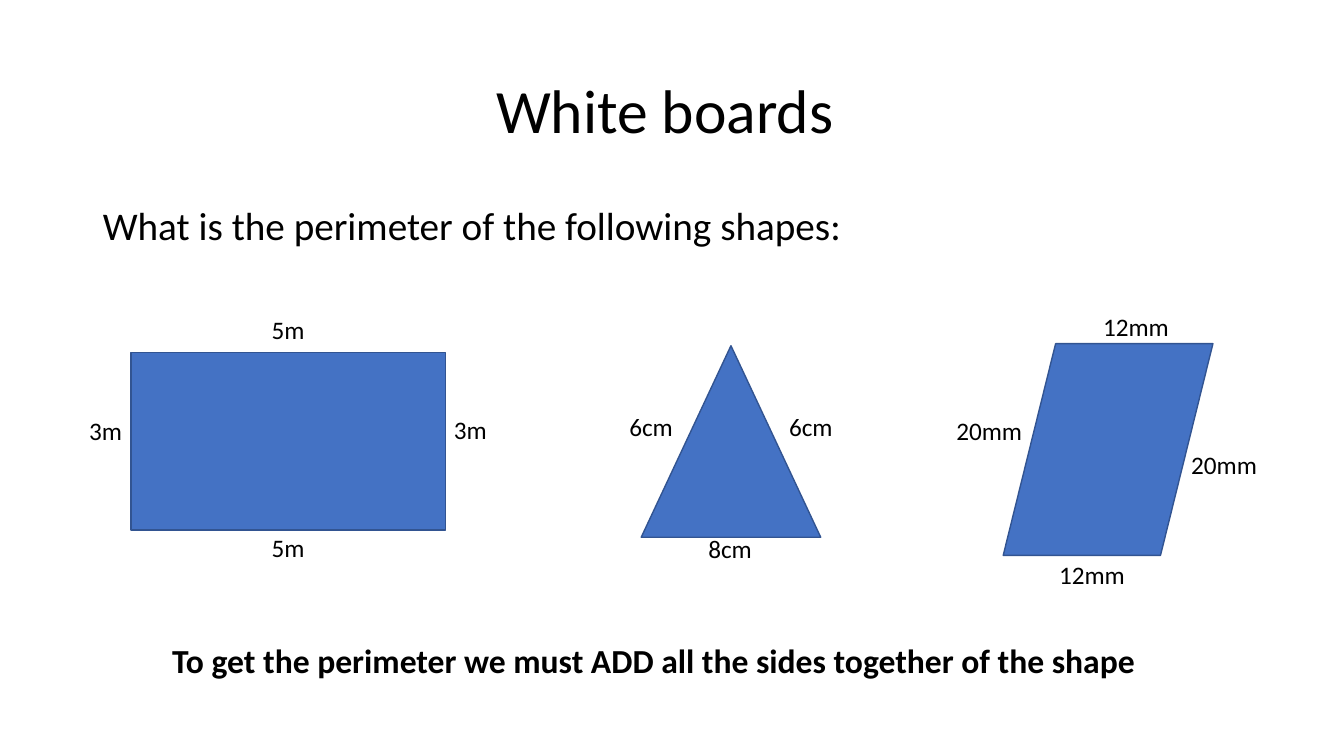
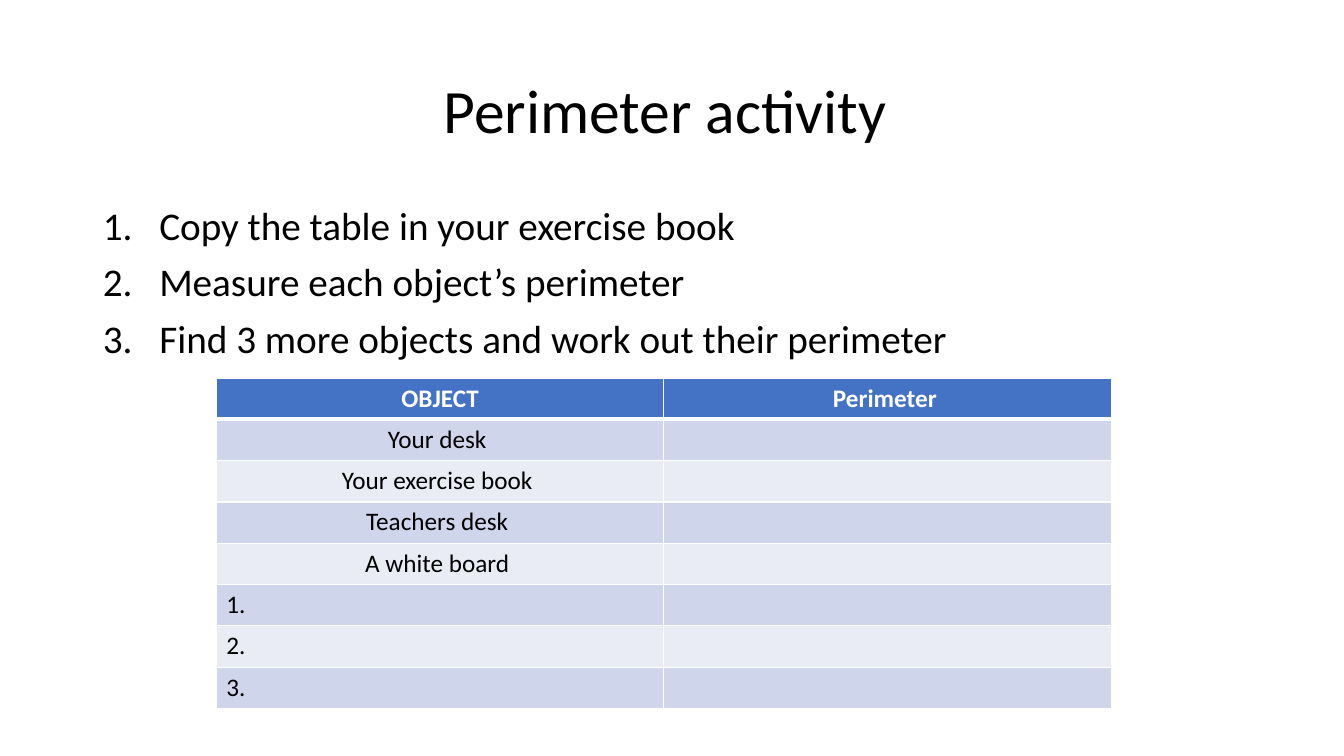
from dataclasses import dataclass

from lxml import etree
from pptx import Presentation
from pptx import util as u
from pptx.dml.color import RGBColor
from pptx.enum import shapes, text
from pptx.oxml import ns


@dataclass(frozen=True)
class Theme:
    font: str = "Calibri"
    ink: str = "000000"
    paper: str = "FFFFFF"
    accent: str = "4472C4"
    outline: str = "325491"
    bands: tuple = ("CFD5EA", "E9EBF5")
    title: int = 44
    body: int = 28
    closing: int = 24
    label: int = 18


THEME = Theme()
WIDTH, HEIGHT = 13.33, 7.5
MARGIN = 0.92
CONTENT = WIDTH - 2 * MARGIN
LABEL_HEIGHT = 0.4

QUESTION = "What is the perimeter of the following shapes:"
CLOSING = "To get the perimeter we must ADD all the sides together of the shape"
KIND = shapes.MSO_SHAPE
# Kind, box, label width, and sides: text with its centre as shares of the box
FIGURES = [
    (KIND.RECTANGLE, (1.3, 3.5, 3.12, 1.76), 0.53,
     [("5m", 0.5, -0.13), ("3m", 1.08, 0.43), ("5m", 0.5, 1.1), ("3m", -0.08, 0.44)]),
    (KIND.ISOSCELES_TRIANGLE, (6.36, 3.43, 1.78, 1.9), 0.79,
     [("6cm", 0.1, 0.42), ("6cm", 0.99, 0.42), ("8cm", 0.54, 1.06)]),
    (KIND.PARALLELOGRAM, (9.95, 3.41, 2.08, 2.1), 0.92,
     [("12mm", 0.65, -0.08), ("20mm", 1.07, 0.57), ("12mm", 0.44, 1.09),
      ("20mm", -0.05, 0.41)]),
]

STEPS = [
    "Copy the table in your exercise book",
    "Measure each object’s perimeter",
    "Find 3 more objects and work out their perimeter",
]
HEADINGS = ["OBJECT", "Perimeter "]
OBJECTS = ["Your desk ", "Your exercise book ", "Teachers desk ", "A white board "]
BLANKS = ["1.", "2.", "3."]
TABLE_WIDTH, TABLE_TOP, ROW_HEIGHT = 8.88, 3.75, 0.41


def inches(*lengths):
    return [u.Inches(length) for length in lengths]


def rgb(colour):
    return RGBColor.from_string(colour)


def style(paragraph, size, colour=THEME.ink, bold=False, align=text.PP_ALIGN.LEFT):
    paragraph.alignment = align
    font = paragraph.font
    font.name, font.size, font.bold = THEME.font, u.Pt(size), bold
    font.color.rgb = rgb(colour)


def place(shape, left, top, width, height):
    shape.left, shape.top, shape.width, shape.height = inches(left, top, width, height)


def add_slide(prs, title, lines, numbered=False):
    slide = prs.slides.add_slide(prs.slide_layouts[1])
    heading, body = slide.placeholders
    place(heading, MARGIN, 0.4, CONTENT, 1.45)
    place(body, MARGIN, 2, CONTENT, 4.76)

    heading.text_frame.text = title
    heading.text_frame.vertical_anchor = text.MSO_ANCHOR.MIDDLE
    body.text_frame.text = "\n".join(lines)
    for holder in (heading, body):
        holder.text_frame.auto_size = text.MSO_AUTO_SIZE.NONE
        for paragraph in holder.text_frame.paragraphs:
            paragraph.line_spacing = 0.9
    style(heading.text_frame.paragraphs[0], THEME.title, align=text.PP_ALIGN.CENTER)

    indent = u.Inches(0.56) if numbered else 0
    for index, paragraph in enumerate(body.text_frame.paragraphs):
        paragraph.space_before = u.Pt(10 if index else 0)
        props = paragraph._p.get_or_add_pPr()
        props.set("marL", str(indent))
        props.set("indent", str(-indent))
        if numbered:
            etree.SubElement(props, ns.qn("a:buFont"), typeface="+mj-lt")
            etree.SubElement(props, ns.qn("a:buAutoNum"), type="arabicPeriod")
        else:
            etree.SubElement(props, ns.qn("a:buNone"))
        style(paragraph, THEME.body)
    return slide


def add_label(slide, words, box, size, bold=False):
    frame = slide.shapes.add_textbox(*inches(*box)).text_frame
    frame.word_wrap = False
    frame.text = words
    style(frame.paragraphs[0], size, bold=bold)


def add_figure(slide, kind, box, label_width, sides):
    left, top, width, height = box
    figure = slide.shapes.add_shape(kind, *inches(*box))
    figure.shadow.inherit = False
    figure.fill.solid()
    figure.fill.fore_color.rgb = rgb(THEME.accent)
    figure.line.color.rgb = rgb(THEME.outline)
    figure.line.width = u.Pt(1)
    for words, across, down in sides:
        label_box = (left + across * width - label_width / 2,
                     top + down * height - LABEL_HEIGHT / 2,
                     label_width, LABEL_HEIGHT)
        add_label(slide, words, label_box, THEME.label)


def rule_cell(cell, bottom):
    """Draw white borders, with the given weight for the bottom edge."""
    props = cell._tc.get_or_add_tcPr()
    for index, side in enumerate("LRTB"):
        weight = bottom if side == "B" else 1
        line = etree.Element(ns.qn(f"a:ln{side}"), w=str(u.Pt(weight)))
        fill = etree.SubElement(line, ns.qn("a:solidFill"))
        etree.SubElement(fill, ns.qn("a:srgbClr"), val=THEME.paper)
        props.insert(index, line)


def add_activity_table(slide):
    rows = [HEADINGS] + [[name, ""] for name in OBJECTS + BLANKS]
    box = inches((WIDTH - TABLE_WIDTH) / 2 - 0.08, TABLE_TOP,
                 TABLE_WIDTH, ROW_HEIGHT * len(rows))
    table = slide.shapes.add_table(len(rows), len(HEADINGS), *box).table
    for r, row in enumerate(rows):
        header = r == 0
        centred = r <= len(OBJECTS)
        for c, words in enumerate(row):
            cell = table.cell(r, c)
            cell.text = words
            cell.fill.solid()
            cell.fill.fore_color.rgb = rgb(
                THEME.accent if header else THEME.bands[(r - 1) % 2])
            rule_cell(cell, bottom=3 if header else 1)
            style(cell.text_frame.paragraphs[0], THEME.label,
                  THEME.paper if header else THEME.ink, bold=header,
                  align=text.PP_ALIGN.CENTER if centred else text.PP_ALIGN.LEFT)


def main():
    prs = Presentation()
    prs.slide_width, prs.slide_height = inches(WIDTH, HEIGHT)

    boards = add_slide(prs, "White boards ", [QUESTION])
    for figure in FIGURES:
        add_figure(boards, *figure)
    add_label(boards, CLOSING, (1.61, 6.3, 9.85, 0.5), THEME.closing, bold=True)

    activity = add_slide(prs, "Perimeter activity ", STEPS, numbered=True)
    add_activity_table(activity)
    prs.save("out.pptx")


if __name__ == "__main__":
    main()
